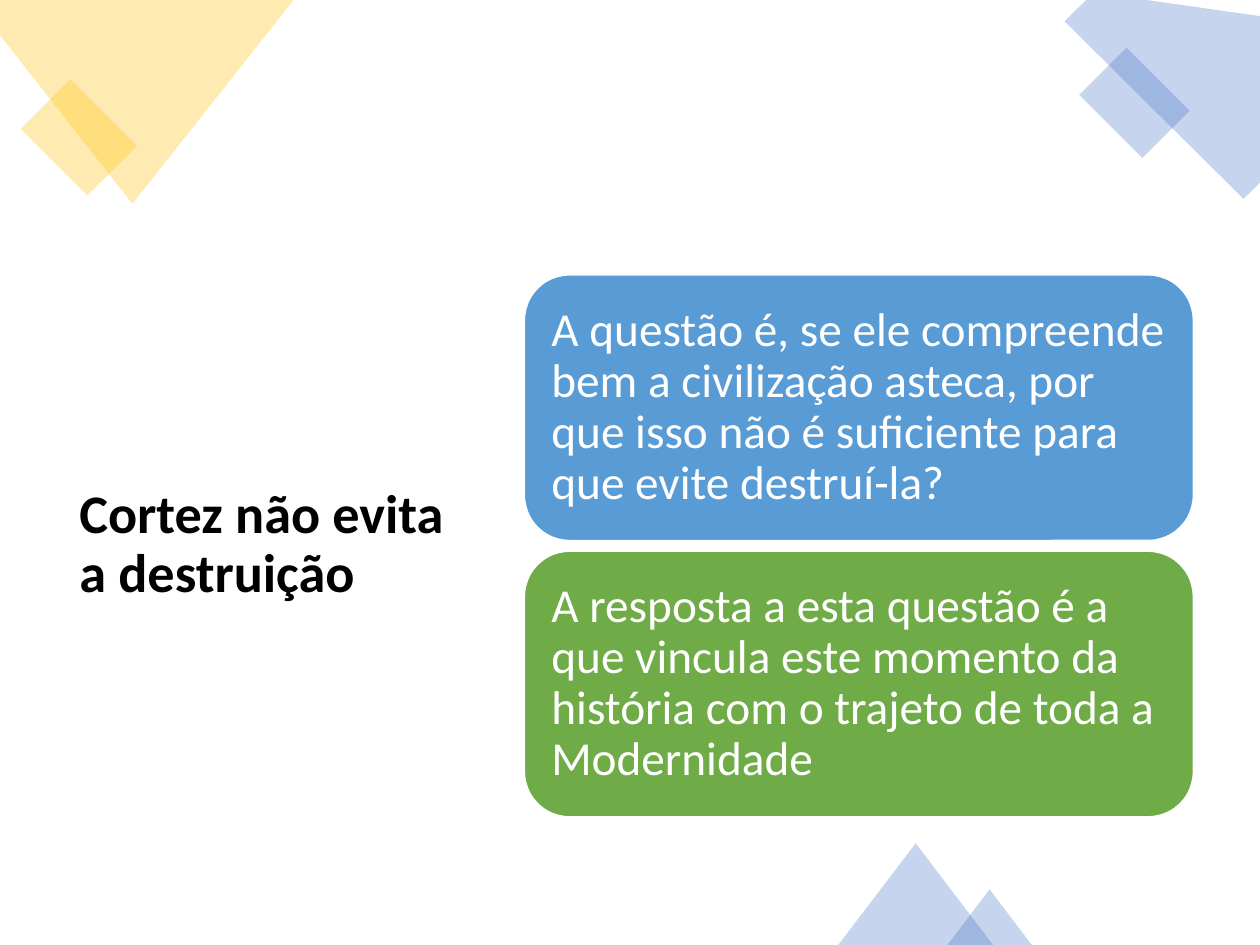
import pptx
import pptx.util
import pptx.dml.color
import pptx.enum.shapes
import pptx.enum.text
import pptx.oxml.ns
import lxml.etree

Cm = pptx.util.Cm
Pt = pptx.util.Pt
RGB = pptx.dml.color.RGBColor.from_string
KIND = pptx.enum.shapes.MSO_SHAPE

theme = {
    "font": "Calibri", "title": 31, "body": 27,
    "black": "000000", "white": "FFFFFF",
    "gold": "FFC000", "navy": "4472C4", "blue": "599BD5", "green": "6FAB46",
}


def write(shape, text, size, color, bold=False, inset=(0.25, 0.13)):
    frame = shape.text_frame
    frame.word_wrap = True
    frame.auto_size = pptx.enum.text.MSO_AUTO_SIZE.NONE
    frame.vertical_anchor = pptx.enum.text.MSO_ANCHOR.MIDDLE
    frame.margin_left = frame.margin_right = Cm(inset[0])
    frame.margin_top = frame.margin_bottom = Cm(inset[1])
    frame.text = text
    line = frame.paragraphs[0]
    line.alignment = pptx.enum.text.PP_ALIGN.LEFT
    line.line_spacing = 0.9
    line.font.name = theme["font"]
    line.font.size = Pt(size)
    line.font.bold = bold
    line.font.color.rgb = RGB(theme[color])


def tint(shape, color, alpha=30):
    shape.shadow.inherit = False
    shape.line.fill.background()
    shape.fill.solid()
    shape.fill.fore_color.rgb = RGB(theme[color])
    tag = pptx.oxml.ns.qn
    node = shape.fill._xPr.find(tag("a:solidFill")).find(tag("a:srgbClr"))
    lxml.etree.SubElement(node, tag("a:alpha")).set("val", str(alpha * 1000))


deck = pptx.Presentation()
deck.slide_width, deck.slide_height = Cm(25.4), Cm(19.05)
slide = deck.slides.add_slide(deck.slide_layouts[5])
shapes = slide.shapes

# Title
title = shapes.title
title.left, title.top, title.width, title.height = map(Cm, (1.35, 4.72, 8.26, 12.55))
write(title, "Cortez não evita a destruição", theme["title"], "black", bold=True)

# Large corner shapes
corners = [
    ("gold", [(5.92, 0), (0, 0), (0, 0.71), (2.67, 4.11)]),
    ("navy", [(22.05, -0.15), (25.43, 0.33), (25.86, 3.23), (25.07, 4.01), (21.46, 0.43)]),
]
for color, dots in corners:
    first, *rest = [(Cm(x), Cm(y)) for x, y in dots]
    build = shapes.build_freeform(*first)
    build.add_line_segments(rest, close=True)
    tint(build.convert_to_shape(), color)

# Small tilted boxes and bottom triangles
accents = [
    (KIND.RECTANGLE, "gold", 45, (0.64, 2.06, 1.9, 1.42)),
    (KIND.RECTANGLE, "navy", 45, (21.97, 1.4, 1.8, 1.35)),
    (KIND.ISOSCELES_TRIANGLE, "navy", 0, (16.9, 17, 3.12, 2.05)),
    (KIND.ISOSCELES_TRIANGLE, "navy", 0, (19.1, 17.93, 1.7, 1.12)),
]
for kind, color, turn, place in accents:
    accent = shapes.add_shape(kind, *map(Cm, place))
    accent.rotation = turn
    tint(accent, color)

# Stacked cards
cards = [
    ("blue", "A questão é, se ele compreende bem a civilização asteca, "
             "por que isso não é suficiente para que evite destruí-la?"),
    ("green", "A resposta a esta questão é a que vincula este momento "
              "da história com o trajeto de toda a Modernidade"),
]
high, gap = 5.36, 0.21
for row, (color, text) in enumerate(cards):
    top = 5.54 + row * (high + gap)
    card = shapes.add_shape(KIND.ROUNDED_RECTANGLE, Cm(10.57), Cm(top), Cm(13.49), Cm(high))
    card.adjustments[0] = 0.17
    card.shadow.inherit = False
    card.fill.solid()
    card.fill.fore_color.rgb = RGB(theme[color])
    card.line.color.rgb = RGB(theme["white"])
    card.line.width = Pt(1)
    write(card, text, theme["body"], "white", inset=(0.28, 0.28))

deck.save("out.pptx")
